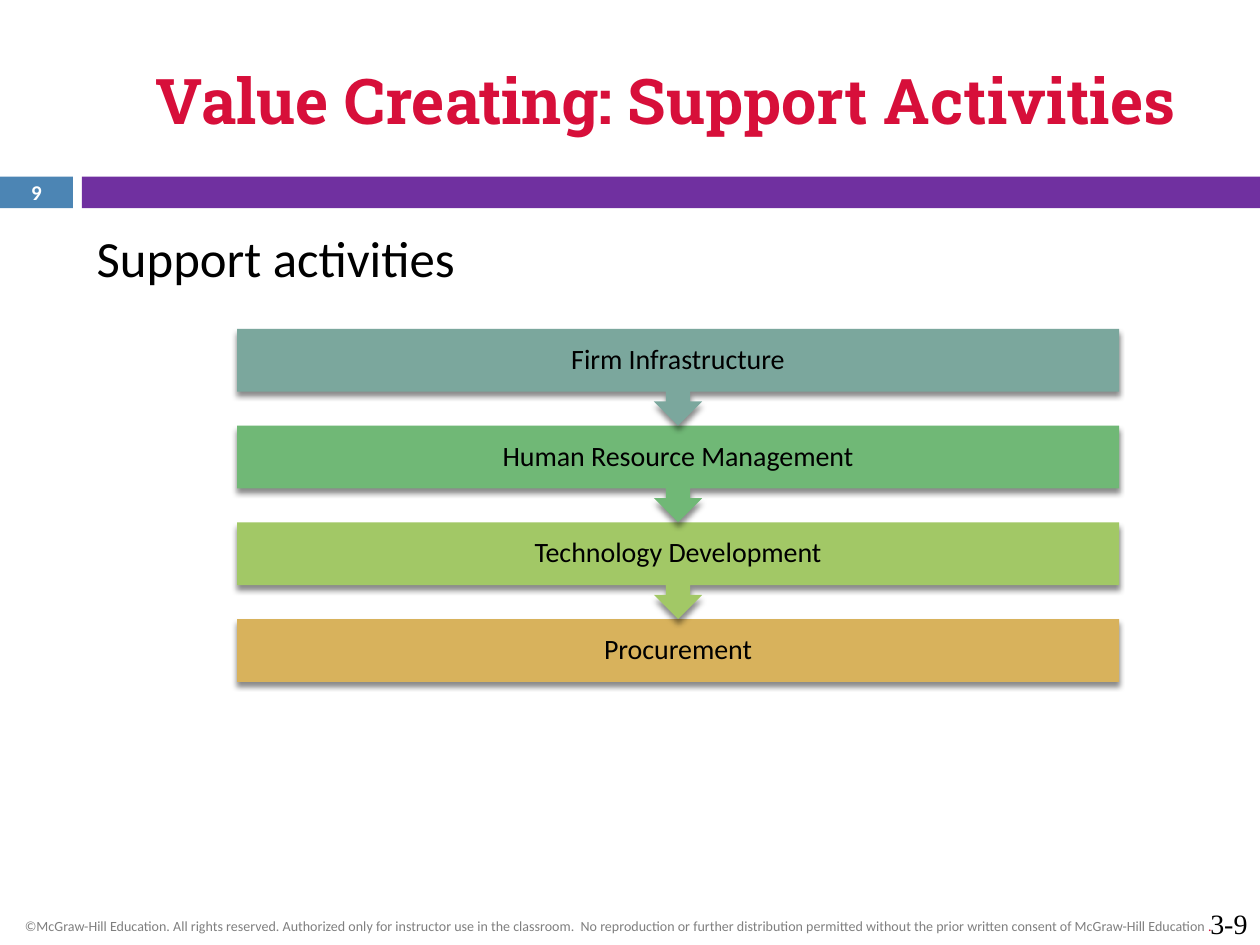
from lxml import etree
from pptx import Presentation
from pptx import util as u
from pptx.dml.color import RGBColor
from pptx.enum import shapes, text
from pptx.oxml import ns

TITLE = "Value Creating: Support Activities"
HEADING = "Support activities"
ACTIVITIES = [
    ("Firm Infrastructure", "7BA79D"),
    ("Human Resource Management", "70B876"),
    ("Technology Development", "A2C866"),
    ("Procurement", "D8B25C"),
]
BANDS = [((0, 3.56, 1.47, 0.64), "4C85B4"), ((1.65, 3.56, 23.75, 0.64), "7030A0")]
COPYRIGHT = (
    "©McGraw-Hill Education. All rights reserved. Authorized only for instructor use "
    "in the classroom.  No reproduction or further distribution permitted without "
    "the prior written consent of McGraw-Hill Education"
)
CALLOUT_LEFT, CALLOUT_TOP, CALLOUT_WIDTH = 4.78, 6.63, 17.78
STEP, BAR_HEIGHT = 1.95, 1.27
ALIGN, ANCHOR, SHAPE = text.PP_ALIGN, text.MSO_ANCHOR, shapes.MSO_SHAPE


def colour(code):
    return RGBColor.from_string(code)


def place(item, box):
    item.left, item.top, item.width, item.height = map(u.Cm, box)


def write(item, words, size, code="000000", font="Calibri", bold=False,
          align=ALIGN.LEFT, anchor=ANCHOR.MIDDLE, wrap=True):
    frame = item.text_frame
    frame.word_wrap = wrap
    frame.auto_size = text.MSO_AUTO_SIZE.NONE
    frame.vertical_anchor = anchor
    paragraph = frame.paragraphs[0]
    paragraph.text = words
    paragraph.alignment = align
    paragraph.font.size = u.Pt(size)
    paragraph.font.name = font
    paragraph.font.bold = bold
    paragraph.font.color.rgb = colour(code)
    return paragraph


def add_label(slide, box, words, size, **style):
    return write(slide.shapes.add_textbox(*map(u.Cm, box)), words, size, **style)


def add_block(slide, kind, box, fill):
    block = slide.shapes.add_shape(kind, *map(u.Cm, box))
    block.shadow.inherit = False
    block.fill.solid()
    block.fill.fore_color.rgb = colour(fill)
    block.line.fill.background()
    return block


def add_shadow(block):
    effects = block.element.spPr.find(ns.qn("a:effectLst"))
    shadow = etree.SubElement(effects, ns.qn("a:outerShdw"), blurRad=str(u.Pt(3)),
                              dist=str(u.Pt(2.4)), dir="5400000", rotWithShape="0")
    black = etree.SubElement(shadow, ns.qn("a:srgbClr"), val="000000")
    etree.SubElement(black, ns.qn("a:alpha"), val="45000")


def add_activity(slide, index):
    words, fill = ACTIVITIES[index]
    last = index == len(ACTIVITIES) - 1
    kind = SHAPE.RECTANGLE if last else SHAPE.DOWN_ARROW_CALLOUT
    height = BAR_HEIGHT if last else STEP
    box = (CALLOUT_LEFT, CALLOUT_TOP + index * STEP, CALLOUT_WIDTH, height)
    block = add_block(slide, kind, box, fill)
    add_shadow(block)
    if not last:
        block.adjustments[3] = round(BAR_HEIGHT / STEP, 2)
    write(block, words, 16, align=ALIGN.CENTER).line_spacing = 0.9


def main():
    deck = Presentation()
    deck.slide_width, deck.slide_height = u.Cm(25.4), u.Cm(19.05)
    slide = deck.slides.add_slide(deck.slide_layouts.get_by_name("Title Only"))

    for box, fill in BANDS:
        add_block(slide, SHAPE.RECTANGLE, box, fill)
    title = slide.shapes.title
    place(title, (1.7, 0.64, 23.44, 2.74))
    write(title, TITLE, 36, "D70F3A", "Roboto Slab", True, ALIGN.CENTER)
    add_label(slide, (1.7, 4.45, 22.66, 1.6), HEADING, 29, anchor=ANCHOR.TOP)

    for index in reversed(range(len(ACTIVITIES))):
        add_activity(slide, index)

    add_label(slide, (23.7, 18, 1.7, 1.07), "3-9", 16, font="Times New Roman",
              align=ALIGN.RIGHT, anchor=ANCHOR.BOTTOM)
    notice = add_label(slide, (0.25, 18.16, 24.1, 1.02), COPYRIGHT, 8,
                       code="7F7F7F", wrap=False)
    stop = notice.add_run()
    stop.text = "."
    stop.font.color.rgb = colour("D70F3A")
    add_label(slide, (0, 3.53, 1.47, 0.69), "9", 12, code="FFFFFF", bold=True,
              align=ALIGN.CENTER)
    deck.save("out.pptx")


if __name__ == "__main__":
    main()
